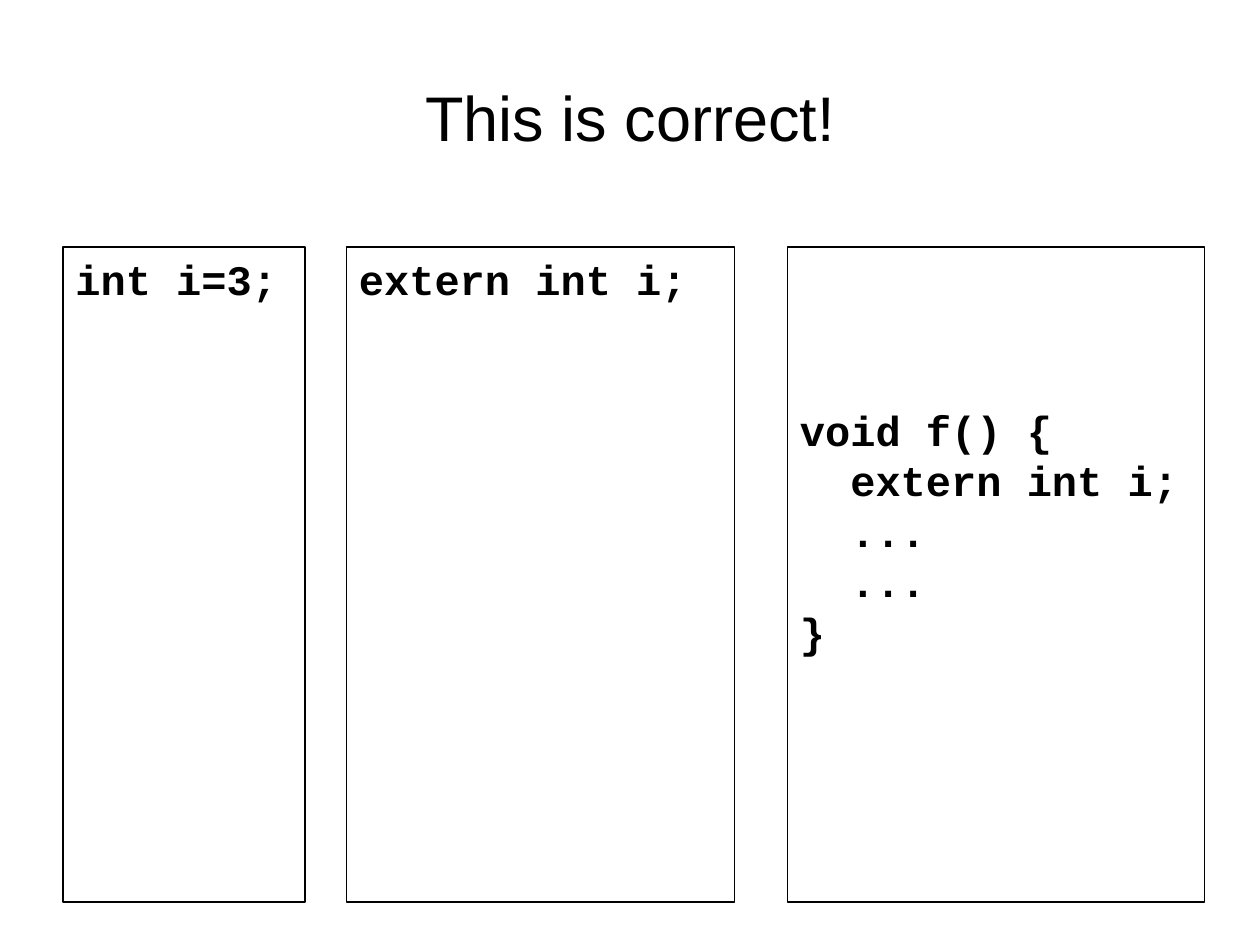
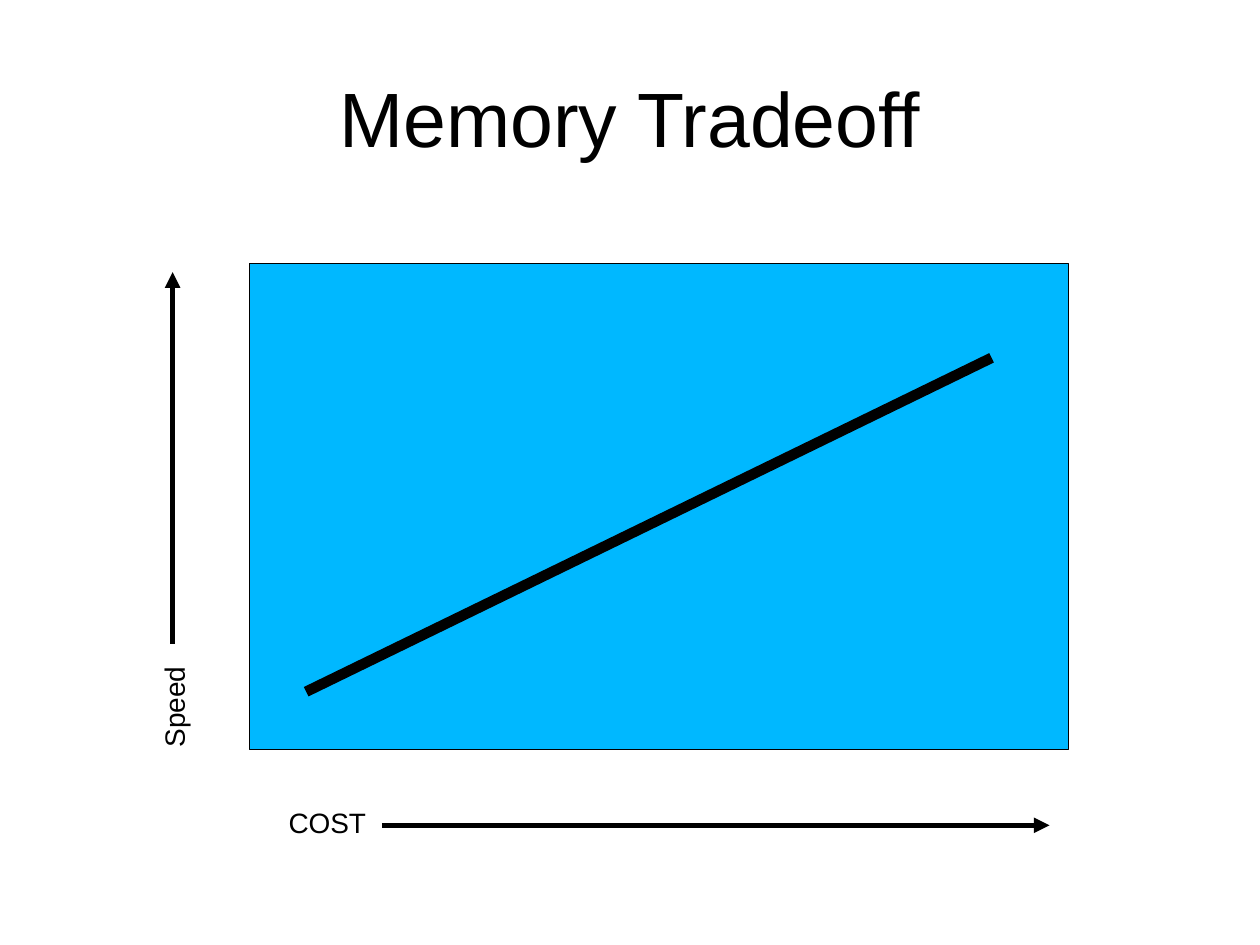
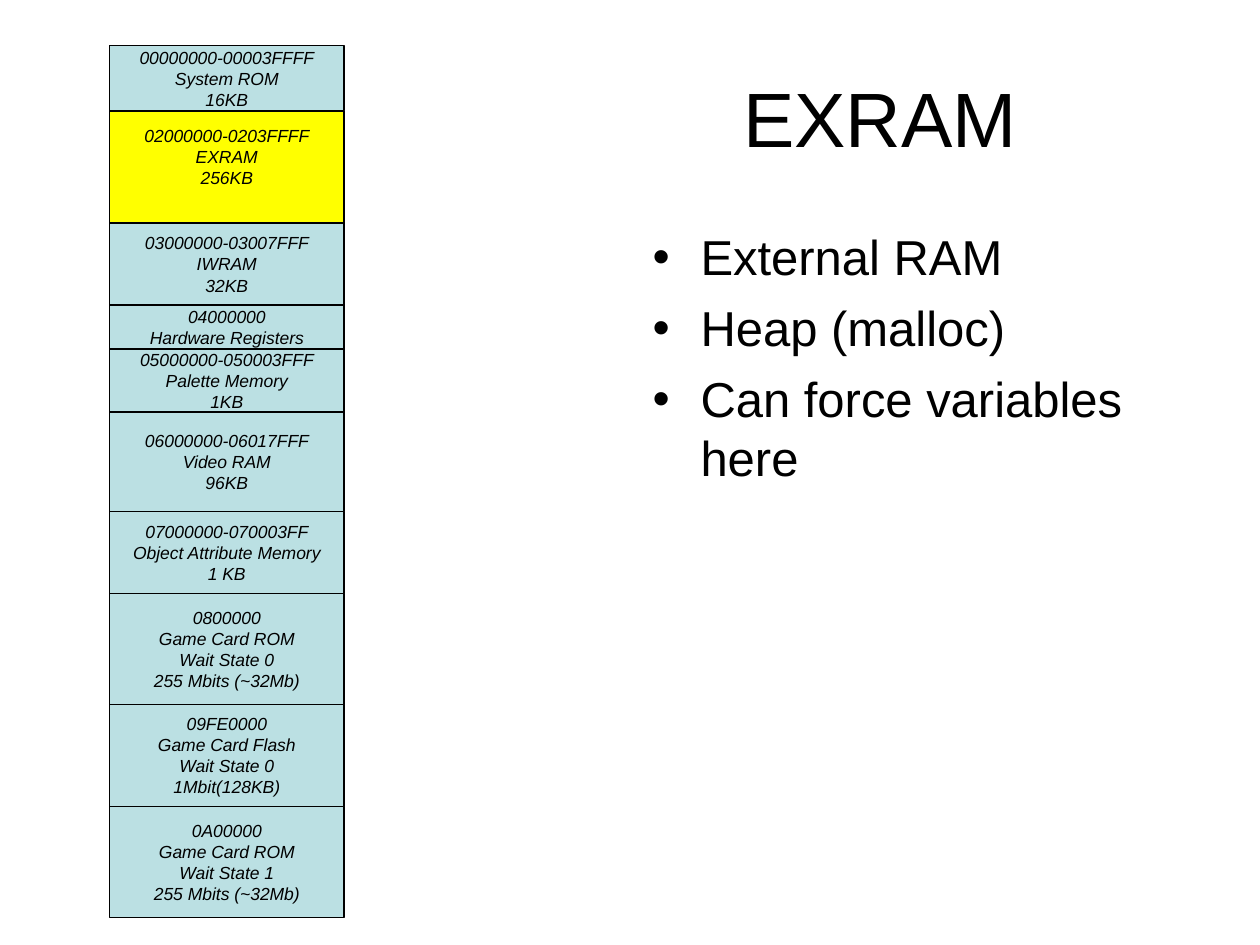
from lxml.etree import SubElement
from pptx import Presentation
from pptx.dml.color import RGBColor
from pptx.enum.shapes import MSO_CONNECTOR as Connector, MSO_SHAPE as Shape
from pptx.enum.text import MSO_ANCHOR as Anchor, PP_ALIGN as Align
from pptx.oxml.ns import qn
from pptx.util import Inches, Pt

COLORS = {"ink": "000000", "plot": "00B8FF", "memory": "BBE0E3", "highlight": "FFFF00"}
BODY_FONT = "Arial"
CODE_FONT = "Courier New"
CONTENT_LAYOUT = 1
TITLE_LAYOUT = 5

CODE_BOXES = [
    (0.5, 1.92, 0.05, "int i=3;"),
    (2.75, 3.08, 0.05, "extern int i;"),
    (6.25, 3.31, 1.25, "void f() {\n  extern int i;\n  ...\n  ...\n}"),
]

MEMORY_MAP = [
    (0.52, "00000000-00003FFFF\nSystem ROM\n16KB"),
    (0.89, "02000000-0203FFFF\nEXRAM\n256KB"),
    (0.65, "03000000-03007FFF\nIWRAM\n32KB"),
    (0.35, "04000000\nHardware Registers"),
    (0.5, "05000000-050003FFF\nPalette Memory\n1KB"),
    (0.79, "06000000-06017FFF\nVideo RAM\n96KB"),
    (0.65, "07000000-070003FF\nObject Attribute Memory\n1 KB"),
    (0.88, "0800000\nGame Card ROM\nWait State 0\n255 Mbits (~32Mb)"),
    (0.81, "09FE0000\nGame Card Flash\nWait State 0\n1Mbit(128KB)"),
    (0.88, "0A00000\nGame Card ROM\nWait State 1\n255 Mbits (~32Mb)"),
]


def color(name):
    return RGBColor.from_string(COLORS[name])


def place(item, left, top, width, height):
    item.left, item.top = Inches(left), Inches(top)
    item.width, item.height = Inches(width), Inches(height)


def write(frame, text, size, font=BODY_FONT, align=Align.LEFT, bold=False, italic=False):
    frame.text = text
    for para in frame.paragraphs:
        para.alignment = align
        for span in para.runs:
            span.font.name = font
            span.font.size = Pt(size)
            span.font.bold = bold
            span.font.italic = italic
            span.font.color.rgb = color("ink")


def add_page(deck, title, size=44, left=0.5, layout=TITLE_LAYOUT):
    page = deck.slides.add_slide(deck.slide_layouts[layout])
    place(page.shapes.title, left, 0.3, 9.5 - left, 1.25)
    frame = page.shapes.title.text_frame
    frame.vertical_anchor = Anchor.MIDDLE
    write(frame, title, size, align=Align.CENTER)
    return page


def add_box(page, left, top, width, height, fill=None):
    box = page.shapes.add_shape(
        Shape.RECTANGLE, Inches(left), Inches(top), Inches(width), Inches(height))
    box.shadow.inherit = False
    if fill:
        box.fill.solid()
        box.fill.fore_color.rgb = color(fill)
    else:
        box.fill.background()
    box.line.color.rgb = color("ink")
    box.line.width = Pt(0.75)
    box.text_frame.word_wrap = False
    return box


def add_line(page, start, end, width, arrow=False):
    line = page.shapes.add_connector(
        Connector.STRAIGHT, *(Inches(value) for value in (*start, *end)))
    line.line.color.rgb = color("ink")
    line.line.width = Pt(width)
    if arrow:
        SubElement(line.line._get_or_add_ln(), qn("a:tailEnd"), type="triangle")
    SubElement(line._element.spPr, qn("a:effectLst"))


def add_axis_label(page, text, left, top, width, rotation=0):
    label = page.shapes.add_textbox(Inches(left), Inches(top), Inches(width), Inches(0.34))
    label.rotation = rotation
    frame = label.text_frame
    frame.word_wrap = False
    frame.margin_left = Inches(0.09)
    frame.margin_right = 0
    write(frame, text, 16)
    frame.paragraphs[0].line_spacing = 0.93


def add_bullets(body, text):
    write(body.text_frame, text, 28)
    for index, para in enumerate(body.text_frame.paragraphs):
        properties = para._p.get_or_add_pPr()
        properties.set("marL", str(Inches(0.38)))
        properties.set("indent", str(Inches(-0.38)))
        SubElement(properties, qn("a:buChar"), char="•")
        para.space_before = Pt(7 if index else 0)


def build_code_page(deck):
    page = add_page(deck, "This is correct!", size=36)
    for left, width, inset, code in CODE_BOXES:
        box = add_box(page, left, 1.96, width, 5.2)
        frame = box.text_frame
        frame.vertical_anchor = Anchor.TOP
        frame.margin_top = Inches(inset)
        write(frame, code, 24, font=CODE_FONT, bold=True)


def build_tradeoff_page(deck):
    page = add_page(deck, "Memory Tradeoff")
    add_box(page, 1.98, 2.09, 6.5, 3.86, "plot")
    add_line(page, (2.43, 5.49), (7.87, 2.84), 6)
    add_axis_label(page, "COST", 2.2, 6.37, 0.8)
    add_line(page, (3.03, 6.55), (8.33, 6.55), 3, arrow=True)
    add_axis_label(page, "Speed", 0.98, 5.44, 0.82, rotation=270)
    add_line(page, (1.37, 5.11), (1.37, 2.16), 3, arrow=True)


def build_memory_page(deck):
    page = add_page(deck, "EXRAM", left=4.47, layout=CONTENT_LAYOUT)
    body = page.placeholders[1]
    place(body, 5.08, 1.75, 4.42, 4.95)
    add_bullets(body, "External RAM\nHeap (malloc)\nCan force variables here")
    top = 0.36
    for height, text in MEMORY_MAP:
        current = "EXRAM" in text
        box = add_box(page, 0.87, top, 1.86, height, "highlight" if current else "memory")
        frame = box.text_frame
        frame.vertical_anchor = Anchor.MIDDLE
        if current:
            frame.margin_bottom = Inches(0.22)
        write(frame, text, 10, align=Align.CENTER, italic=True)
        top += height


def main():
    deck = Presentation()
    deck.slide_width, deck.slide_height = Inches(10), Inches(7.5)
    build_code_page(deck)
    build_tradeoff_page(deck)
    build_memory_page(deck)
    deck.save("out.pptx")


if __name__ == "__main__":
    main()
